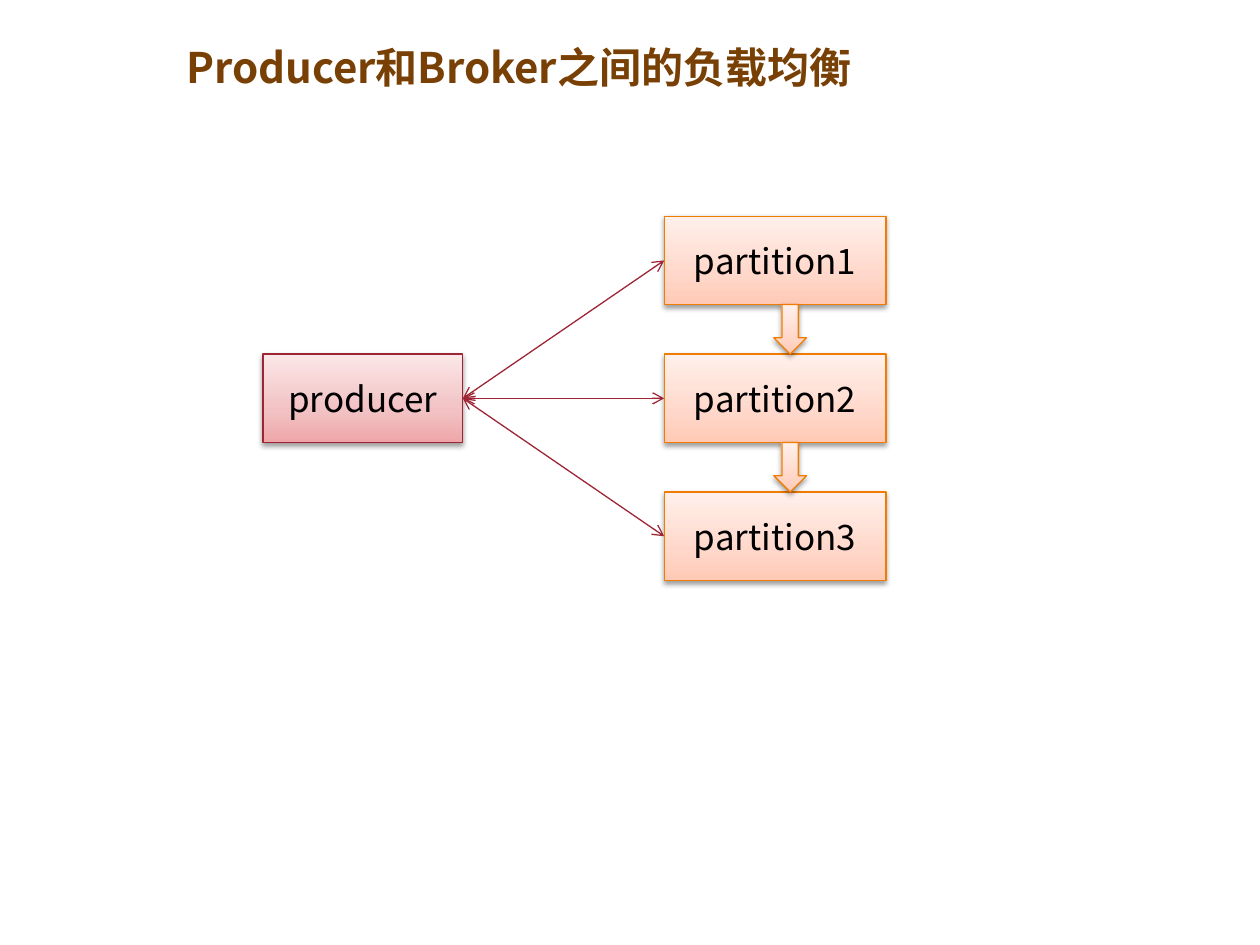
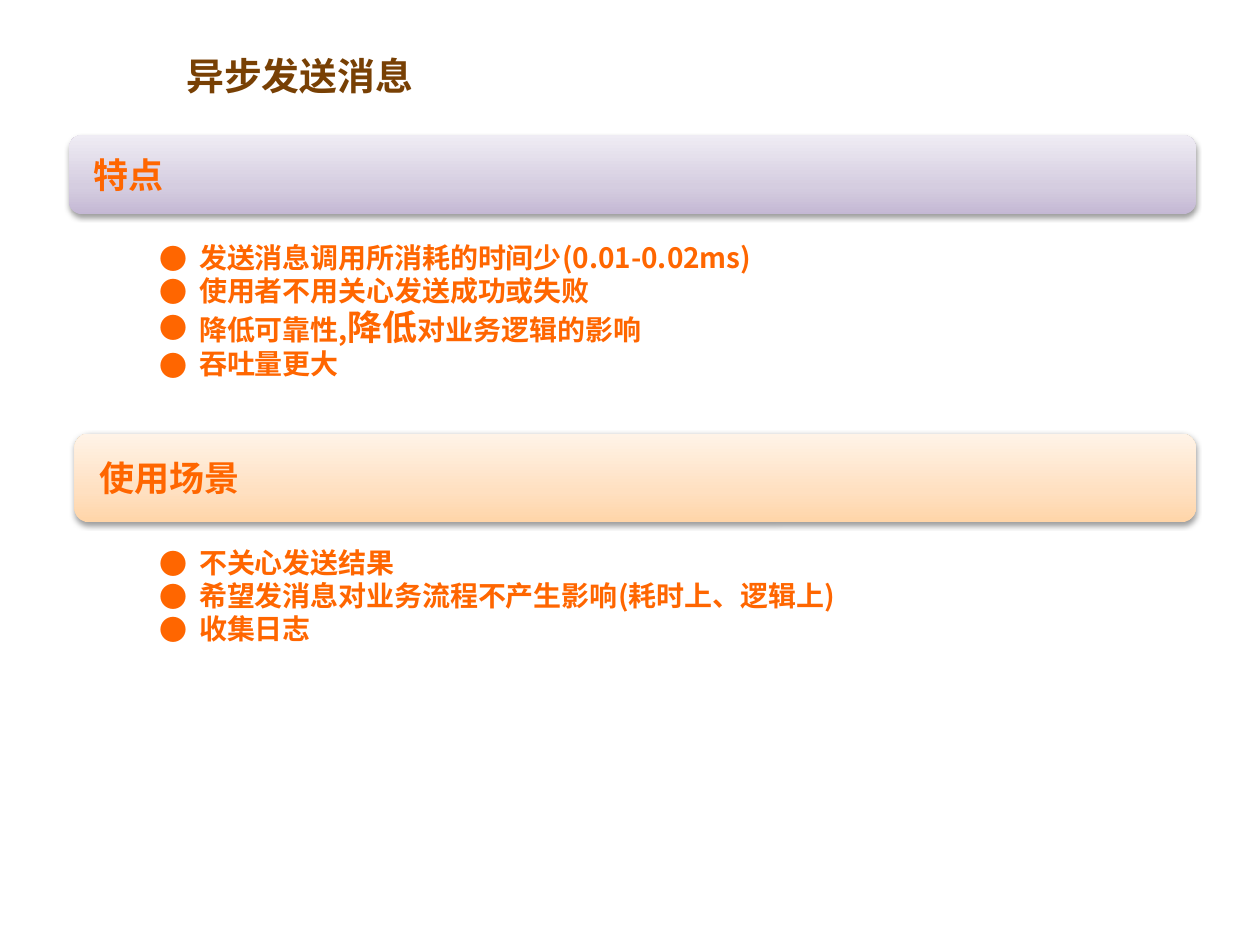
from lxml import etree
from pptx import Presentation
from pptx.dml.color import RGBColor
from pptx.enum import shapes, text
from pptx.oxml import ns
from pptx.util import Cm, Pt

FONT = "Noto Sans CJK SC"
BROWN = RGBColor(0x78, 0x40, 0x04)
BLACK = RGBColor(0x00, 0x00, 0x00)
ORANGE = RGBColor(0xFF, 0x66, 0x00)
AMBER = RGBColor(0xF0, 0x7C, 0x03)
CRIMSON = RGBColor(0x9E, 0x25, 0x33)

# Gradients run from the bottom edge (dark) to the top edge (light)
STOPS = (0, 35, 100)
PEACH = [RGBColor(0xFF, 0xC9, 0xB5), RGBColor(0xFF, 0xD8, 0xCB), RGBColor(0xFF, 0xF0, 0xEB)]
ROSE = [RGBColor(0xEE, 0xA6, 0xA9), RGBColor(0xF2, 0xC1, 0xC3), RGBColor(0xFB, 0xE7, 0xE7)]
LILAC = [RGBColor(0xC4, 0xB8, 0xD4), RGBColor(0xD5, 0xCD, 0xE0), RGBColor(0xEF, 0xEC, 0xF4)]
APRICOT = [RGBColor(0xFF, 0xD5, 0xA8), RGBColor(0xFF, 0xE0, 0xC1), RGBColor(0xFF, 0xF3, 0xE7)]

TITLE_ONLY, TWO_CONTENT = 5, 3


def add_xml(parent, tag, **attributes):
    values = {name: str(value) for name, value in attributes.items()}
    return etree.SubElement(parent, ns.qn(tag), values)


def style_font(para, size, color, bold=False):
    font = para.font
    font.name, font.size, font.bold = FONT, Pt(size), bold
    font.color.rgb = color
    add_xml(font._element, "a:ea", typeface=FONT)


def place(item, box):
    item.left, item.top, item.width, item.height = (Cm(length) for length in box)


def set_title(page, wording, box, size):
    title = page.shapes.title
    place(title, box)
    frame = title.text_frame
    frame.auto_size = text.MSO_AUTO_SIZE.NONE
    frame.vertical_anchor = text.MSO_ANCHOR.MIDDLE
    para = frame.paragraphs[0]
    para.text = wording
    para.alignment = text.PP_ALIGN.LEFT
    style_font(para, size, BROWN, bold=True)


def add_panel(page, kind, box, colors, outline=None):
    """Add a preset shape with a vertical gradient and a soft shadow."""
    panel = page.shapes.add_shape(kind, *(Cm(length) for length in box))
    panel.fill.gradient()
    panel.fill.gradient_angle = 90
    stop_list = panel._element.spPr.find(".//" + ns.qn("a:gsLst"))
    stop_list.clear()
    for position, color in zip(STOPS, colors):
        stop = add_xml(stop_list, "a:gs", pos=position * 1000)
        add_xml(stop, "a:srgbClr", val=color)
    if outline is None:
        panel.line.fill.background()
    else:
        panel.line.color.rgb = outline
        panel.line.width = Pt(0.75)
    panel.shadow.inherit = False
    effects = panel._element.spPr.find(ns.qn("a:effectLst"))
    shadow = add_xml(effects, "a:outerShdw", blurRad=Pt(3.1), dist=Pt(1.6),
                     dir=5400000, rotWithShape=0)
    add_xml(add_xml(shadow, "a:srgbClr", val=BLACK), "a:alpha", val=38000)
    return panel


def label(panel, wording, color, align, bold=False):
    panel.text_frame.vertical_anchor = text.MSO_ANCHOR.MIDDLE
    para = panel.text_frame.paragraphs[0]
    para.text = wording
    para.alignment = align
    style_font(para, 20, color, bold)


def add_node(page, wording, box, colors, outline):
    node = add_panel(page, shapes.MSO_SHAPE.RECTANGLE, box, colors, outline)
    label(node, wording, BLACK, text.PP_ALIGN.CENTER)
    return node


def link_nodes(page, source, target):
    """Join the right side of source to the left side of target."""
    link = page.shapes.add_connector(shapes.MSO_CONNECTOR.STRAIGHT, 0, 0, 0, 0)
    link.begin_connect(source, 3)
    link.end_connect(target, 1)
    link.line.color.rgb = CRIMSON
    link.line.width = Pt(0.75)
    line = link.line._get_or_add_ln()
    for end in ("a:headEnd", "a:tailEnd"):
        add_xml(line, end, type="arrow")
    add_xml(link._element.spPr, "a:effectLst")


def add_partitions(page, box, count, gap):
    """Stack the partitions in the box, with a down arrow in each gap."""
    left, top, width, height = box
    node_height = (height - gap * (count - 1)) / count
    nodes = []
    for index in range(count):
        node_top = top + index * (node_height + gap)
        nodes.append(add_node(page, f"partition{index + 1}",
                              (left, node_top, width, node_height), PEACH, AMBER))
    for index in range(count - 1):
        arrow_top = top + (index + 1) * node_height + index * gap
        add_panel(page, shapes.MSO_SHAPE.DOWN_ARROW,
                  (left + 2.21, arrow_top, 0.66, gap), PEACH, AMBER)
    return nodes


def add_band(page, wording, box, colors):
    band = add_panel(page, shapes.MSO_SHAPE.ROUNDED_RECTANGLE, box, colors)
    band.text_frame.margin_left = Cm(0.41)
    label(band, wording, ORANGE, text.PP_ALIGN.LEFT, bold=True)


def fill_list(body, box, items):
    """Write bulleted items; each item is a list of (wording, size or None)."""
    place(body, box)
    frame = body.text_frame
    frame.auto_size = text.MSO_AUTO_SIZE.NONE
    frame.margin_top = frame.margin_bottom = 0
    for index, spans in enumerate(items):
        para = frame.add_paragraph() if index else frame.paragraphs[0]
        para.line_spacing = 0.9
        para.space_before = Pt(1.6 if index else 0)
        properties = para._p.get_or_add_pPr()
        properties.set("marL", str(Cm(2.06)))
        properties.set("indent", str(Cm(-0.79)))
        add_xml(properties, "a:buFont", typeface=FONT)
        add_xml(properties, "a:buChar", char="●")
        style_font(para, 16, ORANGE, bold=True)
        for wording, size in spans:
            span = para.add_run()
            span.text = wording
            if size:
                span.font.size = Pt(size)


def build_balance_page(deck):
    page = deck.slides.add_slide(deck.slide_layouts[TITLE_ONLY])
    set_title(page, "Producer和Broker之间的负载均衡", (3.5, 0.76, 18.44, 1.17), 24)
    partitions = add_partitions(page, (13.39, 4.36, 4.47, 7.34), count=3, gap=1)
    producer = add_node(page, "producer", (5.3, 7.14, 4.03, 1.78), ROSE, CRIMSON)
    for partition in partitions:
        link_nodes(page, producer, partition)


def build_async_page(deck):
    page = deck.slides.add_slide(deck.slide_layouts[TWO_CONTENT])
    set_title(page, "异步发送消息", (3.5, 0.91, 20.93, 1.2), 21.6)
    features, scenarios = list(page.placeholders)[1:3]

    # Features
    add_band(page, "特点", (1.39, 2.72, 22.72, 1.6), LILAC)
    fill_list(features, (1.7, 4.92, 22.73, 3.5), [
        [("发送消息调用所消耗的时间少(0.01-0.02ms)", None)],
        [("使用者不用关心发送成功或失败", None)],
        [("降低可靠性,", None), ("降低", 20), ("对业务逻辑的影响", None)],
        [("吞吐量更大", None)],
    ])

    # Scenarios
    add_band(page, "使用场景", (1.5, 8.74, 22.61, 1.79), APRICOT)
    fill_list(scenarios, (1.7, 11.07, 22.73, 6.48), [
        [("不关心发送结果", None)],
        [("希望发消息对业务流程不产生影响(耗时上、逻辑上)", None)],
        [("收集日志", None)],
    ])


def main():
    deck = Presentation()
    deck.slide_width, deck.slide_height = Cm(25.4), Cm(19.05)
    build_balance_page(deck)
    build_async_page(deck)
    deck.save("out.pptx")


if __name__ == "__main__":
    main()
